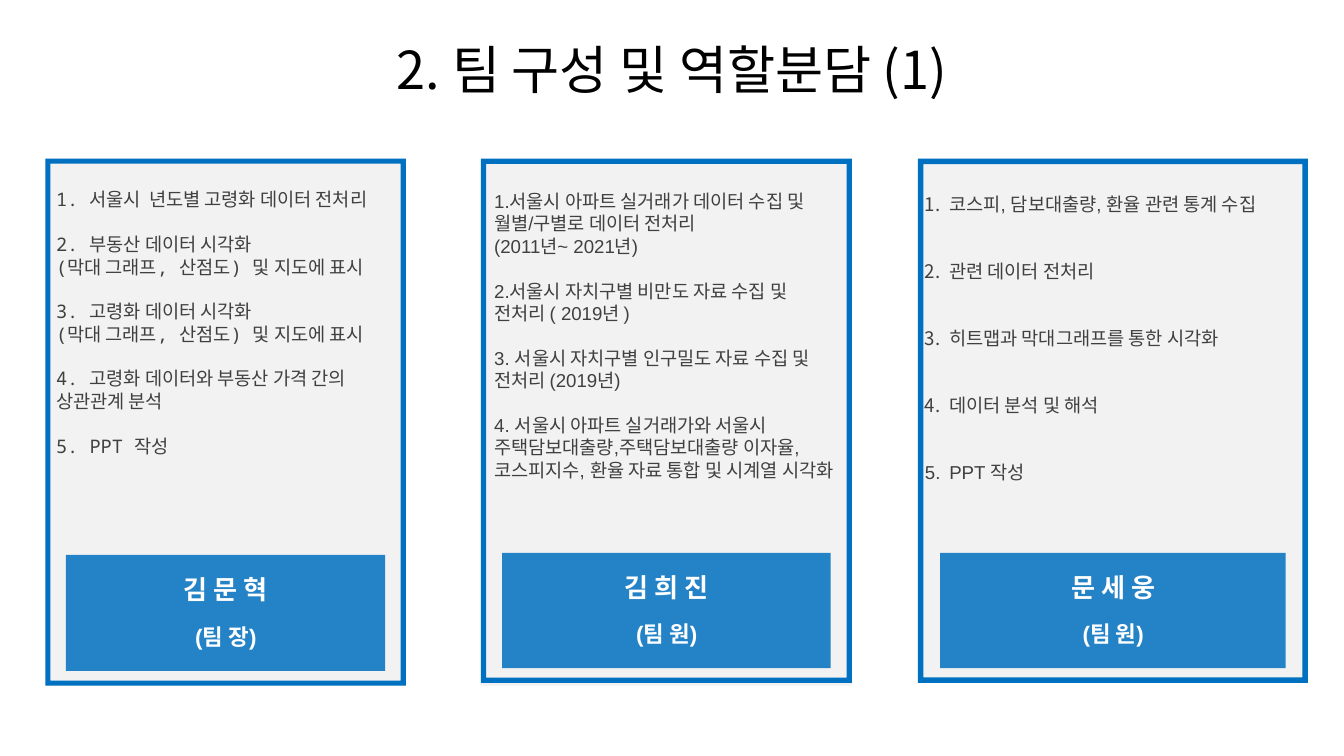
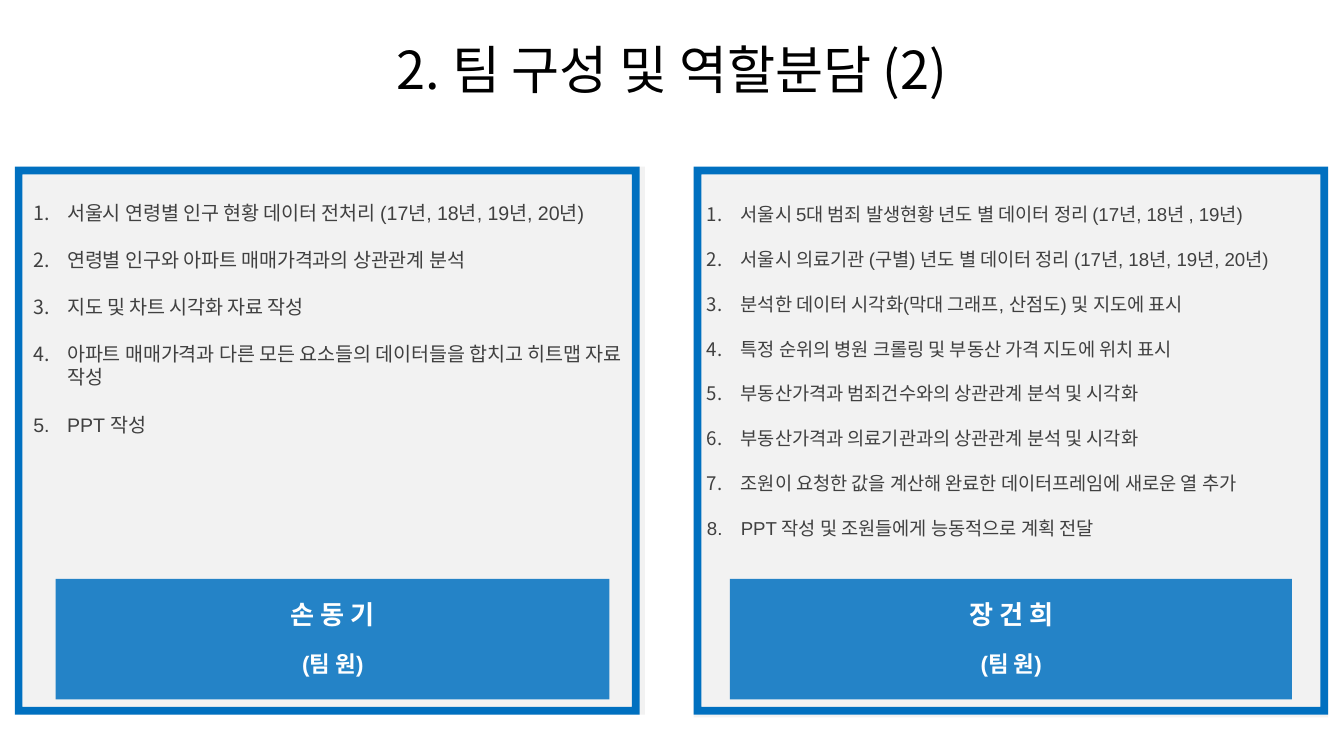
import dataclasses
import typing

import lxml.etree
import pptx
import pptx.dml.color
import pptx.enum.shapes
import pptx.enum.text
import pptx.oxml.ns
import pptx.util

Cm = pptx.util.Cm
Pt = pptx.util.Pt
SHAPE = pptx.enum.shapes.MSO_SHAPE
ALIGN = pptx.enum.text.PP_ALIGN
ANCHOR = pptx.enum.text.MSO_ANCHOR
qn = pptx.oxml.ns.qn

BLUE, PALE, GREY, WHITE, BLACK = "0070C0", "F2F2F2", "404040", "FFFFFF", "000000"
HANGUL = "Noto Sans CJK KR"
TITLE = {"size": Pt(28), "name": HANGUL, "bold": False}
NAME = {"size": Pt(14), "name": "Arial", "bold": True}
ROLE = {**NAME, "size": Pt(12)}
FRAME = {"word_wrap": True, "auto_size": pptx.enum.text.MSO_AUTO_SIZE.NONE}


@dataclasses.dataclass(frozen=True)
class Card:
    name: str
    role: str
    left: float
    top: float
    width: float
    height: float
    items: tuple[str, ...]
    face: str = "Arial"
    size: float = 10
    gap: float = 12
    hang: float = 0
    side: float = 0.25
    head: float = 0.64
    right: float = 0
    down: float = 0


TEAM = {
    "2. 팀 구성 및 역할분담 (1)": (
        Card("김 문 혁", "(팀 장)", 0.86, 3, 6.81, 9.96, (
            "1. 서울시  년도별 고령화 데이터 전처리",
            "2. 부동산 데이터 시각화\n(막대 그래프, 산점도) 및 지도에 표시",
            "3. 고령화 데이터 시각화\n(막대 그래프, 산점도) 및 지도에 표시",
            "4. 고령화 데이터와 부동산 가격 간의\n상관관계 분석",
            "5. PPT 작성",
        ), face="Noto Sans Mono", side=0.2, head=0.56),
        Card("김 희 진", "(팀 원)", 9.09, 3, 7.01, 9.91, (
            "1.서울시 아파트 실거래가 데이터 수집 및 월별/구별로 데이터 전처리\n(2011년~ 2021년)",
            "2.서울시 자치구별 비만도 자료 수집 및 전처리 ( 2019년 )",
            "3. 서울시 자치구별 인구밀도 자료 수집 및 전처리 (2019년)",
            "4. 서울시 아파트 실거래가와 서울시 주택담보대출량,주택담보대출량 이자율, "
            "코스피지수, 환율 자료 통합 및 시계열 시각화",
        ), head=0.54, down=0.05),
        Card("문 세 웅", "(팀 원)", 17.35, 3, 7.37, 9.91, (
            "코스피, 담보대출량, 환율 관련 통계 수집",
            "관련 데이터 전처리",
            "히트맵과 막대그래프를 통한 시각화",
            "데이터 분석 및 해석",
            "PPT 작성",
        ), gap=24, hang=0.46, side=0.13),
    ),
    "2. 팀 구성 및 역할분담 (2)": (
        Card("손 동 기", "(팀 원)", 0.28, 3.15, 11.81, 10.36, (
            "서울시 연령별 인구 현황 데이터 전처리 (17년, 18년, 19년, 20년)",
            "연령별 인구와 아파트 매매가격과의 상관관계 분석",
            "지도 및 차트 시각화 자료 작성",
            "아파트 매매가격과 다른 모든 요소들의 데이터들을 합치고 히트맵 자료 작성",
            "PPT 작성",
        ), size=10.5, gap=12.6, hang=0.64, right=0.1),
        Card("장 건 희", "(팀 원)", 13.11, 3.15, 11.99, 10.36, (
            "서울시 5대 범죄 발생현황 년도 별 데이터 정리 (17년, 18년 , 19년)",
            "서울시 의료기관 (구별) 년도 별 데이터 정리 (17년, 18년, 19년, 20년)",
            "분석한 데이터 시각화(막대 그래프, 산점도) 및 지도에 표시",
            "특정 순위의 병원 크롤링 및 부동산 가격 지도에 위치 표시",
            "부동산가격과 범죄건수와의 상관관계 분석 및 시각화",
            "부동산가격과 의료기관과의 상관관계 분석 및 시각화",
            "조원이 요청한 값을 계산해 완료한 데이터프레임에 새로운 열 추가",
            "PPT 작성 및 조원들에게 능동적으로 계획 전달",
        ), hang=0.64, down=0.05),
    ),
}


def apply(thing: typing.Any, values: dict[str, typing.Any]) -> None:
    for key, value in values.items():
        setattr(thing, key, value)


def tint(hue: str) -> pptx.dml.color.RGBColor:
    return pptx.dml.color.RGBColor.from_string(hue)


def place(shape: typing.Any, left: float, top: float, width: float, height: float) -> None:
    apply(shape, {"left": Cm(left), "top": Cm(top), "width": Cm(width), "height": Cm(height)})


def paint(shape: typing.Any, hue: str) -> None:
    shape.fill.solid()
    shape.fill.fore_color.rgb = tint(hue)


def write(para: typing.Any, text: str, font: dict[str, typing.Any], hue: str) -> None:
    para.text = text
    for run in para.runs:
        apply(run.font, font)
        run.font.color.rgb = tint(hue)
        east = lxml.etree.SubElement(run._r.get_or_add_rPr(), qn("a:ea"))
        east.set("typeface", HANGUL)


def label(frame: typing.Any, text: str, font: dict[str, typing.Any], hue: str) -> None:
    apply(frame, {**FRAME, "vertical_anchor": ANCHOR.MIDDLE})
    para = frame.paragraphs[0]
    para.alignment = ALIGN.CENTER
    write(para, text, font, hue)


def block(slide: typing.Any, kind: typing.Any, *box: float) -> typing.Any:
    shape = slide.shapes.add_shape(kind, *map(Cm, box))
    shape.shadow.inherit = False
    shape.line.fill.background()
    paint(shape, BLUE)
    return shape


def number(para: typing.Any, hang: float) -> None:
    props = para._p.get_or_add_pPr()
    props.set("marL", str(Cm(hang)))
    props.set("indent", str(-Cm(hang)))
    if hang:
        lxml.etree.SubElement(props, qn("a:buFont")).set("typeface", "Arial")
        lxml.etree.SubElement(props, qn("a:buAutoNum")).set("type", "arabicPeriod")
    else:
        lxml.etree.SubElement(props, qn("a:buNone"))


def fill_list(panel: typing.Any, card: Card) -> None:
    place(panel, card.left + card.right, card.top + card.down, card.width, card.height)
    paint(panel, PALE)
    frame = panel.text_frame
    apply(frame, {
        **FRAME, "vertical_anchor": ANCHOR.TOP, "margin_top": Cm(card.head),
        "margin_left": Cm(card.side), "margin_right": Cm(card.side),
    })
    font = {"size": Pt(card.size), "name": card.face, "bold": False}
    for index, item in enumerate(card.items):
        para = frame.add_paragraph() if index else frame.paragraphs[0]
        number(para, card.hang)
        apply(para, {
            "alignment": ALIGN.LEFT, "line_spacing": Pt(card.size * 1.2),
            "space_before": Pt(card.gap if index else 0), "space_after": Pt(0),
        })
        write(para, item, font, GREY)


def draw_card(slide: typing.Any, card: Card) -> None:
    wide, tall = card.width, card.height
    left = card.left + card.right
    frame = block(slide, SHAPE.FRAME, card.left, card.top, wide, tall)
    frame.adjustments[0] = 0.014
    bar = block(slide, SHAPE.RECTANGLE, left + wide * 0.057, card.top + tall * 0.752,
                wide * 0.886, tall * 0.22)
    hue = bar.fill._xPr.find(".//" + qn("a:srgbClr"))
    lxml.etree.SubElement(hue, qn("a:alpha")).set("val", "85000")
    for text, font, drop in ((card.name, NAME, 0.775), (card.role, ROLE, 0.864)):
        box = slide.shapes.add_textbox(Cm(left + wide * 0.107), Cm(card.top + tall * drop),
                                       Cm(wide * 0.787), Cm(tall * 0.084))
        label(box.text_frame, text, font, WHITE)


def build(deck: typing.Any, title: str, cards: tuple[Card, ...]) -> None:
    slide = deck.slides.add_slide(deck.slide_layouts.get_by_name("Comparison"))
    head, *panels = slide.placeholders
    place(head, 0, 0.5, 25.4, 1.6)
    label(head.text_frame, title, TITLE, BLACK)
    for panel, card in zip(panels, cards):
        fill_list(panel, card)
        draw_card(slide, card)
    for spare in panels[len(cards):]:
        spare.element.getparent().remove(spare.element)


def main() -> None:
    deck = pptx.Presentation()
    apply(deck, {"slide_width": Cm(25.4), "slide_height": Cm(14.29)})
    for title, cards in TEAM.items():
        build(deck, title, cards)
    deck.save("out.pptx")


if __name__ == "__main__":
    main()
